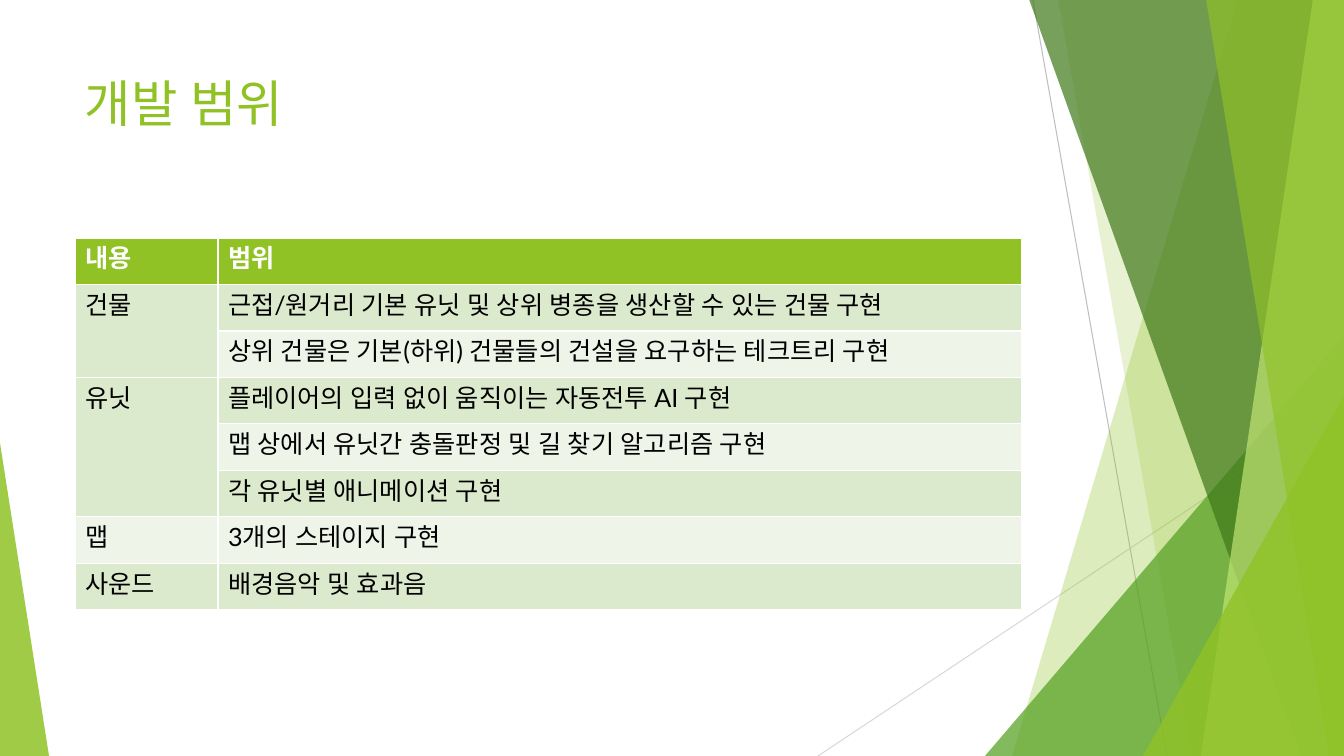
from lxml.etree import SubElement
from pptx import Presentation
from pptx.dml.color import RGBColor
from pptx.enum.shapes import MSO_CONNECTOR as Connector, MSO_SHAPE as Shape
from pptx.enum.text import MSO_ANCHOR as Anchor
from pptx.oxml.ns import qn
from pptx.util import Emu, Pt

FONT = "Lato"
GREEN, WHITE, BLACK = "90C226", "FFFFFF", "000000"
BANDS = ["DBE9CD", "EEF4E8"]
WIDTH, HEIGHT = 1344, 756

TITLE = "개발 범위"
HEADER = ("내용", "범위")
SCOPE = [
    ("건물", ["근접/원거리 기본 유닛 및 상위 병종을 생산할 수 있는 건물 구현",
            "상위 건물은 기본(하위) 건물들의 건설을 요구하는 테크트리 구현"]),
    ("유닛", ["플레이어의 입력 없이 움직이는 자동전투 AI 구현",
            "맵 상에서 유닛간 충돌판정 및 길 찾기 알고리즘 구현",
            "각 유닛별 애니메이션 구현"]),
    ("맵", ["3개의 스테이지 구현"]),
    ("사운드", ["배경음악 및 효과음"]),
]
COLUMNS, TABLE_HEIGHT = (143, 804), 372

# Start, end, colour
RAYS = [((1033, 0), (1167, HEIGHT), "BFBFBF"),
        ((WIDTH, 406), (818, HEIGHT), "D9D9D9")]
# Bands: left edge at top and bottom. Triangles: left, top, width, apex.
# All end with colour and opacity in percent; listed from back to front.
FACETS = [
    ("band", (1238, 1012), GREEN, 30),
    ("band", (1058, 1192), GREEN, 20),
    ("triangle", (985, 336, 359, 1), "54A021", 72),
    ("band", (1029, 1301), "3F7819", 70),
    ("band", (1313, 1201), "C0E474", 70),
    ("band", (1206, 1329), GREEN, 65),
    ("triangle", (1143, 396, 201, 1), GREEN, 80),
    ("triangle", (0, 443, 49, 0), GREEN, 85),
]

SCALE = 914400 / 100.8


def px(value):
    return Emu(round(value * SCALE))


def color(value):
    return RGBColor.from_string(value)


def add_text(frame, text, size, text_color, bold=False):
    run = frame.paragraphs[0].add_run()
    run.text = text
    font = run.font
    font.name, font.size, font.bold = FONT, Pt(size), bold
    font.color.rgb = color(text_color)
    # Korean glyphs take the East Asian typeface
    properties = run._r.get_or_add_rPr()
    properties.set("lang", "ko-KR")
    SubElement(properties, qn("a:ea"), typeface=FONT)


def add_facet(kind, geometry, fill, opacity):
    if kind == "band":
        top_x, bottom_x = geometry
        builder = shapes.build_freeform(top_x, -1, scale=SCALE)
        builder.add_line_segments([(WIDTH, -1), (WIDTH, HEIGHT), (bottom_x, HEIGHT)])
        shape = builder.convert_to_shape()
    else:
        left, top, width, apex = geometry
        shape = shapes.add_shape(Shape.ISOSCELES_TRIANGLE, px(left), px(top),
                                 px(width), px(HEIGHT - top))
        shape.adjustments[0] = apex
    shape.shadow.inherit = False
    shape.line.fill.background()
    shape.fill.solid()
    shape.fill.fore_color.rgb = color(fill)
    tint = shape.fill._xPr.find(qn("a:solidFill"))[0]
    SubElement(tint, qn("a:alpha"), val=str(opacity * 1000))


def fill_cell(cell, fill):
    cell.fill.solid()
    cell.fill.fore_color.rgb = color(fill)


presentation = Presentation()
presentation.slide_width, presentation.slide_height = px(WIDTH), px(HEIGHT)
slide = presentation.slides.add_slide(presentation.slide_layouts[6])
shapes = slide.shapes

# Background rays and facets
for start, end, line_color in RAYS:
    ray = shapes.add_connector(Connector.STRAIGHT, *map(px, start + end))
    ray.line.color.rgb = color(line_color)
    ray.line.width = Pt(0.75)
    SubElement(ray._element.spPr, qn("a:effectLst"))
for facet in FACETS:
    add_facet(*facet)

# Title
title = shapes.add_textbox(px(75), px(67), px(947), px(145)).text_frame
title.word_wrap = True
title.vertical_anchor = Anchor.TOP
add_text(title, TITLE, 36, GREEN)

# Scope table; its style draws the white rules
row_count = 1 + sum(len(items) for _, items in SCOPE)
table = shapes.add_table(row_count, len(COLUMNS), px(75), px(238),
                         px(sum(COLUMNS)), px(TABLE_HEIGHT)).table
for column, width in zip(table.columns, COLUMNS):
    column.width = px(width)
for table_row in table.rows:
    table_row.height = px(TABLE_HEIGHT / row_count)

for column, heading in enumerate(HEADER):
    cell = table.cell(0, column)
    fill_cell(cell, GREEN)
    add_text(cell.text_frame, heading, 18, WHITE, True)

row = 1
for topic, items in SCOPE:
    first = row
    for item in items:
        fill_cell(table.cell(row, 0), BANDS[(first - 1) % 2])
        fill_cell(table.cell(row, 1), BANDS[(row - 1) % 2])
        add_text(table.cell(row, 1).text_frame, item, 18, BLACK)
        row += 1
    if len(items) > 1:
        table.cell(first, 0).merge(table.cell(row - 1, 0))
    add_text(table.cell(first, 0).text_frame, topic, 18, BLACK)

presentation.save("out.pptx")
